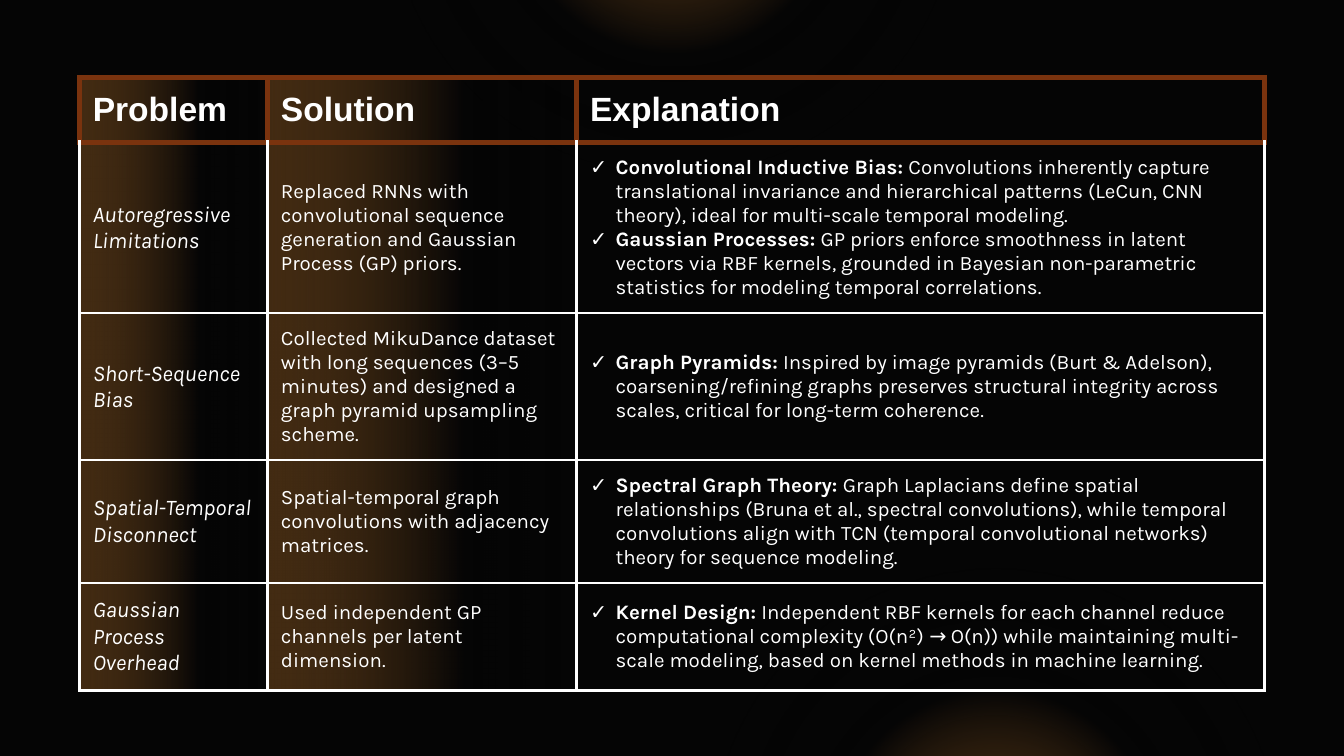
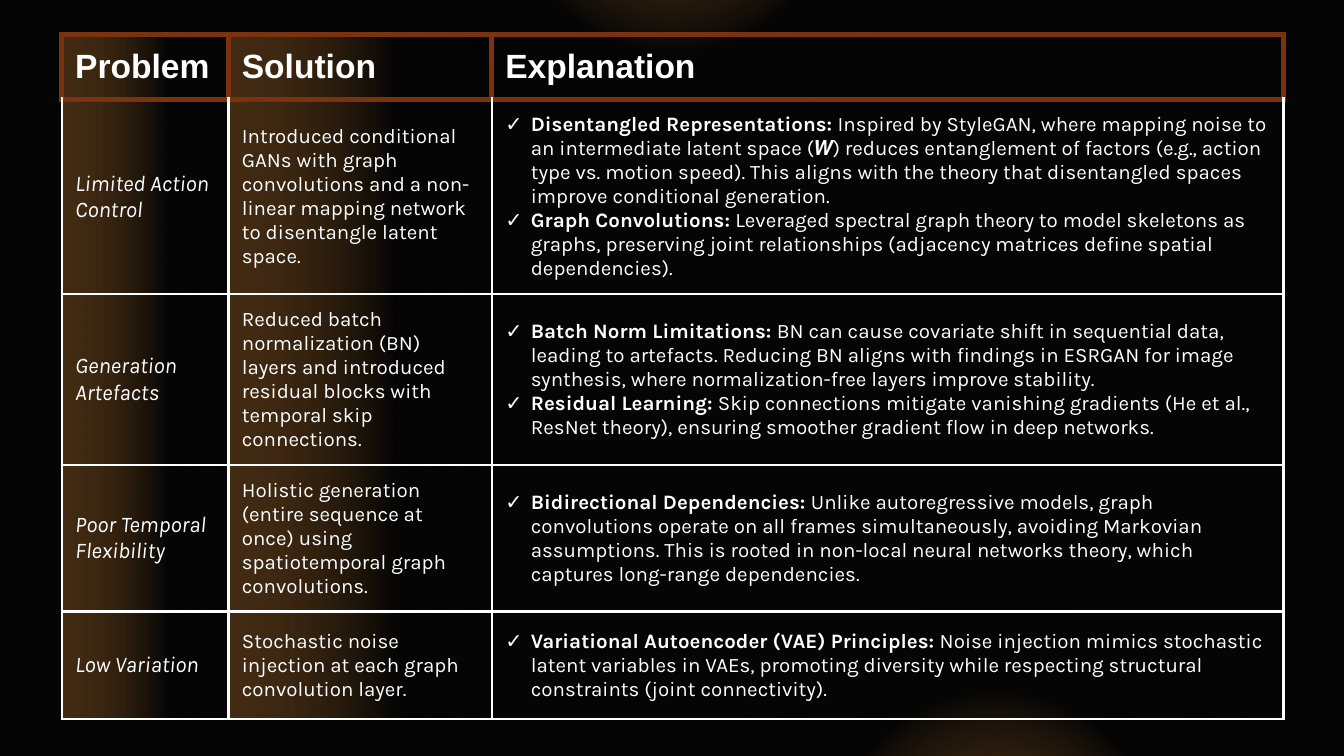
from pptx import Presentation
from pptx import util as u
from pptx.dml import color
from pptx.enum import shapes, text
from pptx.oxml import parse_xml
from pptx.oxml.ns import nsdecls

DARK, GLOW, RUST, WHITE = "050505", "E69138", "7A330E", "FFFFFF"
HEADINGS = ["Problem", "Solution", "Explanation"]
COLUMN_FORMATS = [
    {"name": "Karla", "size": u.Pt(12), "bold": False, "italic": True},
    {"name": "Karla", "size": u.Pt(11), "bold": False, "italic": False},
    {"name": "Karla", "size": u.Pt(11), "bold": False, "italic": False},
]
HEADING_FORMAT = {"name": "Arial", "size": u.Pt(18), "bold": True, "italic": False}
CELL_FORMAT = {
    "vertical_anchor": text.MSO_ANCHOR.MIDDLE,
    "margin_left": u.Inches(0.1),
    "margin_right": u.Inches(0.1),
    "margin_top": u.Inches(0.1),
    "margin_bottom": u.Inches(0.1),
}

TABLES = [
    {
        "place": (0.59, 0.58, 8.82, 4.47),
        "columns": (1.4, 2.3, 5.12),
        "rows": [
            ("Autoregressive Limitations",
             "Replaced RNNs with convolutional sequence generation and Gaussian Process (GP) priors.",
             ["Convolutional Inductive Bias: Convolutions inherently capture translational invariance and "
              "hierarchical patterns (LeCun, CNN theory), ideal for multi-scale temporal modeling.",
              "Gaussian Processes: GP priors enforce smoothness in latent vectors via RBF kernels, grounded "
              "in Bayesian non-parametric statistics for modeling temporal correlations."]),
            ("Short-Sequence Bias",
             "Collected MikuDance dataset with long sequences (3–5 minutes) and designed a graph pyramid "
             "upsampling scheme.",
             ["Graph Pyramids: Inspired by image pyramids (Burt & Adelson), coarsening/refining graphs "
              "preserves structural integrity across scales, critical for long-term coherence."]),
            ("Spatial-Temporal Disconnect",
             "Spatial-temporal graph convolutions with adjacency matrices.",
             ["Spectral Graph Theory: Graph Laplacians define spatial relationships (Bruna et al., spectral "
              "convolutions), while temporal convolutions align with TCN (temporal convolutional networks) "
              "theory for sequence modeling."]),
            ("Gaussian Process Overhead",
             "Used independent GP channels per latent dimension.",
             ["Kernel Design: Independent RBF kernels for each channel reduce computational complexity "
              "(O(n²) → O(n)) while maintaining multi-scale modeling, based on kernel methods in machine "
              "learning."]),
        ],
    },
    {
        "place": (0.46, 0.26, 9.09, 4.83),
        "columns": (1.24, 1.96, 5.89),
        "rows": [
            ("Limited Action Control",
             "Introduced conditional GANs with graph convolutions and a non-linear mapping network to "
             "disentangle latent space.",
             ["Disentangled Representations: Inspired by StyleGAN, where mapping noise to an intermediate "
              "latent space (𝑾) reduces entanglement of factors (e.g., action type vs. motion speed). This "
              "aligns with the theory that disentangled spaces improve conditional generation.",
              "Graph Convolutions: Leveraged spectral graph theory to model skeletons as graphs, preserving "
              "joint relationships (adjacency matrices define spatial dependencies)."]),
            ("Generation Artefacts",
             "Reduced batch normalization (BN) layers and introduced residual blocks with temporal skip "
             "connections.",
             ["Batch Norm Limitations: BN can cause covariate shift in sequential data, leading to artefacts. "
              "Reducing BN aligns with findings in ESRGAN for image synthesis, where normalization-free "
              "layers improve stability.",
              "Residual Learning: Skip connections mitigate vanishing gradients (He et al., ResNet theory), "
              "ensuring smoother gradient flow in deep networks."]),
            ("Poor Temporal Flexibility",
             "Holistic generation (entire sequence at once) using spatiotemporal graph convolutions.",
             ["Bidirectional Dependencies: Unlike autoregressive models, graph convolutions operate on all "
              "frames simultaneously, avoiding Markovian assumptions. This is rooted in non-local neural "
              "networks theory, which captures long-range dependencies."]),
            ("Low Variation",
             "Stochastic noise injection at each graph convolution layer.",
             ["Variational Autoencoder (VAE) Principles: Noise injection mimics stochastic latent variables "
              "in VAEs, promoting diversity while respecting structural constraints (joint connectivity)."]),
        ],
    },
]


def rgb(value):
    return color.RGBColor.from_string(value)


def fade(fill, properties, positions, direction):
    fill.gradient()
    stops = "".join(
        f'<a:gs pos="{position * 1000}"><a:srgbClr val="{value}"><a:alpha val="{alpha * 1000}"/></a:srgbClr></a:gs>'
        for position, value, alpha in zip(positions, [GLOW, DARK, DARK, DARK], [27, 54, 0, 0])
    )
    gradient = parse_xml(f'<a:gradFill {nsdecls("a")}><a:gsLst>{stops}</a:gsLst>{direction}</a:gradFill>')
    properties.replace(properties.find(gradient.tag), gradient)


presentation = Presentation()
presentation.slide_width = u.Inches(10)
presentation.slide_height = u.Inches(10) * 9 // 16
layout = presentation.slide_layouts[6]
for placeholder in list(layout.placeholders):
    layout.shapes.element.remove(placeholder.element)
layout.background.fill.solid()
layout.background.fill.fore_color.rgb = rgb(DARK)
slides = [presentation.slides.add_slide(layout) for table in TABLES]

glows = []
for left, top in [(2.89, -2.94), (5.29, 4.23)]:
    glow = slides[0].shapes.add_shape(
        shapes.MSO_SHAPE.OVAL, u.Inches(left), u.Inches(top), u.Inches(4.23), u.Inches(4.23))
    glow.shadow.inherit = False
    glow.line.fill.background()
    fade(glow.fill, glow.element.spPr, [0, 41, 78, 100],
         '<a:path path="circle"><a:fillToRect l="50000" t="50000" r="50000" b="50000"/></a:path>')
    glows.append(glow)
for glow in glows:
    layout.shapes.element.append(glow.element)

for slide, content in zip(slides, TABLES):
    rows = [HEADINGS] + content["rows"]
    place = [u.Inches(length) for length in content["place"]]
    frame = slide.shapes.add_table(len(rows), len(HEADINGS), *place)
    table = frame.table
    table.first_row = table.horz_banding = False
    for column, width in zip(table.columns, content["columns"]):
        column.width = u.Inches(width)
    for row_index, row in enumerate(rows):
        table.rows[row_index].height = u.Inches(0.8 if row_index else 0.4)
        for column_index, entry in enumerate(row):
            cell = table.cell(row_index, column_index)
            for name, value in CELL_FORMAT.items():
                setattr(cell, name, value)
            properties = cell._tc.get_or_add_tcPr()
            if column_index < 2:
                fade(cell.fill, properties, [0, 64, 95, 100], '<a:lin ang="0" scaled="0"/>')
            else:
                cell.fill.background()
            for position, side in enumerate("LRTB"):
                rust = row_index == 0 or (row_index == 1 and side == "T")
                properties.insert(position, parse_xml(
                    f'<a:ln{side} {nsdecls("a")} w="{u.Pt(3 if rust else 1.5)}"><a:solidFill>'
                    f'<a:srgbClr val="{RUST if rust else WHITE}"/></a:solidFill></a:ln{side}>'))

            bulleted = isinstance(entry, list)
            for index, line in enumerate(entry if bulleted else [entry]):
                frame_text = cell.text_frame
                paragraph = frame_text.add_paragraph() if index else frame_text.paragraphs[0]
                parts = [line]
                if bulleted:
                    heading, colon, body = line.partition(":")
                    parts = [heading + colon, body]
                    indents = paragraph._p.get_or_add_pPr()
                    indents.set("marL", str(u.Inches(0.19)))
                    indents.set("indent", str(-u.Inches(0.19)))
                    for bullet in (f'buClr {nsdecls("a")}><a:srgbClr val="{WHITE}"/></a:buClr>',
                                   f'buFont {nsdecls("a")} typeface="Arial"/>',
                                   f'buChar {nsdecls("a")} char="✓"/>'):
                        indents.append(parse_xml("<a:" + bullet))
                for part_index, part in enumerate(parts):
                    run = paragraph.add_run()
                    run.text = part
                    run.font.color.rgb = rgb(WHITE)
                    text_format = COLUMN_FORMATS[column_index] if row_index else HEADING_FORMAT
                    for name, value in text_format.items():
                        setattr(run.font, name, value)
                    if bulleted:
                        run.font.bold = part_index == 0
    frame.height = place[3]

presentation.save("out.pptx")
